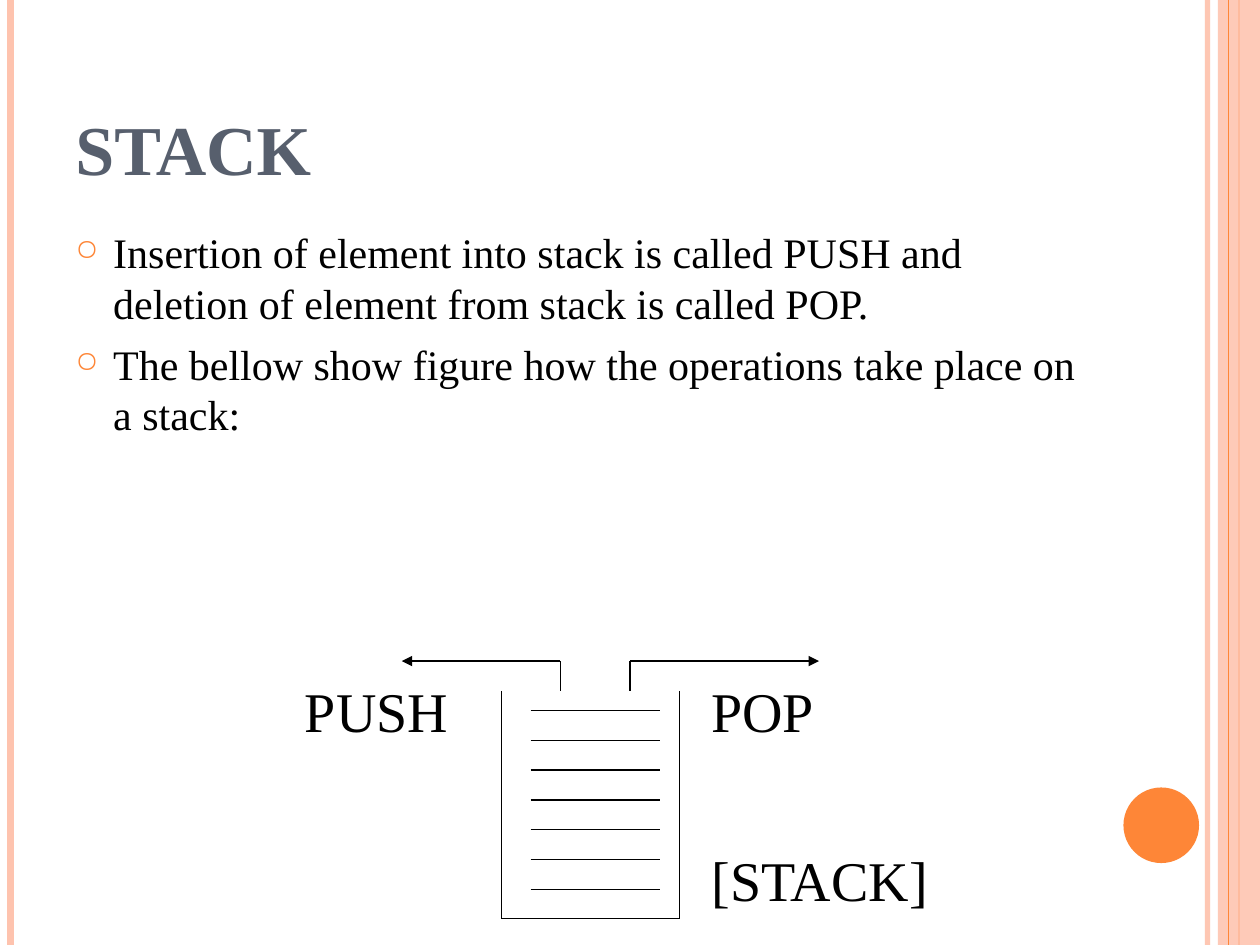
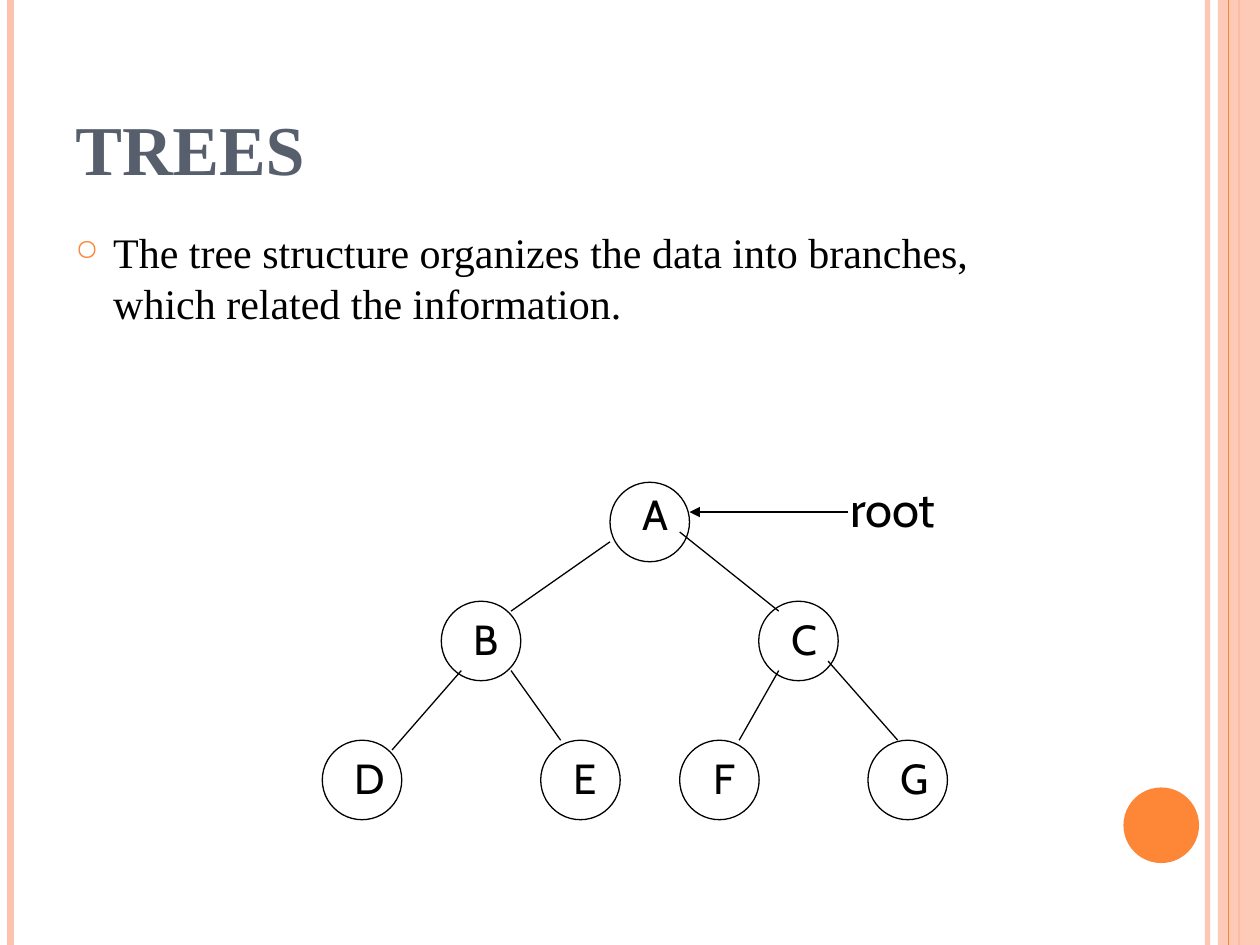
from lxml import etree
from pptx import Presentation
from pptx.dml.color import RGBColor
from pptx.enum.shapes import MSO_CONNECTOR, MSO_SHAPE
from pptx.enum.text import MSO_ANCHOR, MSO_AUTO_SIZE, PP_ALIGN
from pptx.oxml.ns import qn
from pptx.util import Pt

STRAIGHT = MSO_CONNECTOR.STRAIGHT
RECTANGLE, OVAL = MSO_SHAPE.RECTANGLE, MSO_SHAPE.OVAL
BOTTOM, TOP = MSO_ANCHOR.BOTTOM, MSO_ANCHOR.TOP
LEFT, CENTER = PP_ALIGN.LEFT, PP_ALIGN.CENTER
GROW = MSO_AUTO_SIZE.SHAPE_TO_FIT_TEXT

PEACH = RGBColor(0xFE, 0xC3, 0xAE)
ORANGE = RGBColor(0xFE, 0x86, 0x37)
SLATE = RGBColor(0x57, 0x5F, 0x6D)
BLACK = RGBColor(0, 0, 0)
WHITE = RGBColor(0xFF, 0xFF, 0xFF)
SERIF, SANS = "Times New Roman", "Cabin"
THIN = 0.74
PAGE_W, PAGE_H = 720, 540


def add_line(slide, start, end, color=BLACK, width=THIN, alpha=None, arrow=False):
    line = slide.shapes.add_connector(STRAIGHT, *[Pt(v) for v in (*start, *end)])
    line.line.color.rgb = color
    line.line.width = Pt(width)
    properties = line._element.spPr
    if alpha:
        rgb = properties.find(".//" + qn("a:srgbClr"))
        etree.SubElement(rgb, qn("a:alpha"), val=str(alpha * 1000))
    if arrow:
        etree.SubElement(properties.find(qn("a:ln")), qn("a:tailEnd"), type="triangle")
    etree.SubElement(properties, qn("a:effectLst"))


def add_text(slide, box, paragraphs, size, font=SERIF, color=BLACK, bold=False,
             align=LEFT, anchor=TOP, before=0, grow=False):
    frame = slide.shapes.add_textbox(*[Pt(v) for v in box]).text_frame
    frame.word_wrap = True
    frame.vertical_anchor = anchor
    if grow:
        frame.auto_size = GROW
    frame.text = "\n".join(paragraphs)
    for paragraph in frame.paragraphs:
        paragraph.alignment = align
        paragraph.space_before = Pt(before)
        paragraph.font.name = font
        paragraph.font.size = Pt(size)
        paragraph.font.bold = bold
        paragraph.font.color.rgb = color
    return frame


prs = Presentation()
prs.slide_width, prs.slide_height = Pt(PAGE_W), Pt(PAGE_H)

pages = [
    ("STACK", ["Insertion of element into stack is called PUSH and deletion of "
               "element from stack is called POP.",
               "The bellow show figure how the operations take place on a stack:"]),
    ("TREES", ["The tree structure organizes the data into branches, which related "
               "the information."]),
]
slides = []
for title, points in pages:
    slide = prs.slides.add_slide(prs.slide_layouts[6])
    slides.append(slide)

    # Side bands and the orange disc
    for x, color, width, alpha in [(690, PEACH, 3, 93), (6, PEACH, 4.5, None),
                                   (708, ORANGE, 1.5, None)]:
        add_line(slide, (x, 0), (x, PAGE_H), color, width, alpha)
    for kind, box, color in [(RECTANGLE, (696, 0, 24, PAGE_H), PEACH),
                             (OVAL, (642, 450, 43.2, 43.2), ORANGE)]:
        shape = slide.shapes.add_shape(kind, *[Pt(v) for v in box])
        shape.shadow.inherit = False
        shape.fill.solid()
        shape.fill.fore_color.rgb = color
        shape.line.fill.background()
        if kind == RECTANGLE:
            rgb = shape._element.spPr.find(".//" + qn("a:srgbClr"))
            etree.SubElement(rgb, qn("a:alpha"), val="87000")
            add_line(slide, (702, 0), (702, PAGE_H), ORANGE)

    # Title and bulleted text
    add_text(slide, (36, 21.6, 588, 90), [title], 40, color=SLATE, bold=True, anchor=BOTTOM)
    body = add_text(slide, (36, 126, 588, 384), points, 24, before=6)
    for paragraph in body.paragraphs:
        props = paragraph._p.get_or_add_pPr()
        props.set("marL", str(Pt(21.6)))
        props.set("indent", str(Pt(-21.6)))
        bullet_color = etree.SubElement(props, qn("a:buClr"))
        etree.SubElement(bullet_color, qn("a:srgbClr"), val=str(ORANGE))
        etree.SubElement(props, qn("a:buSzPct"), val="70000")
        etree.SubElement(props, qn("a:buChar"), char="○")
        # Default run properties come last in the paragraph properties
        props.append(props.find(qn("a:defRPr")))

stack, tree = slides

# Stack: open container with seven stored elements
wall_left, wall_right, rim, floor = 286.4, 388.4, 394.8, 525
for start, end in [((wall_left, rim), (wall_left, floor)),
                   ((wall_right, rim), (wall_right, floor)),
                   ((wall_left, floor), (wall_right, floor))]:
    add_line(stack, start, end)
for level in range(7):
    y = 406 + 17.04 * level
    add_line(stack, (303.2, y), (377.2, y))

# Push and pop arrows above the rim
bend = 377.8
for x, tip in [(320.2, 229.6), (360, 468)]:
    add_line(stack, (x, rim), (x, bend))
    add_line(stack, (x, bend), (tip, bend), arrow=True)
for label, x, y, width in [("PUSH", 167.2, 383.2, 113), ("POP", 399.4, 383.2, 96.5),
                           ("[STACK]", 399.4, 479.6, 181.4)]:
    add_text(stack, (x, y, width, 46), [label], 32, before=20, grow=True)

# Tree nodes: letter, left, top, drop of the letter inside the circle
DIAMETER = 45.4
nodes = [("A", 348.6, 275.6, 0), ("B", 252.2, 343.6, 3.6), ("C", 433.6, 343.6, 3.6),
         ("D", 184.2, 423, 3.6), ("E", 309, 423, 3.6), ("F", 388.4, 423, 3.6),
         ("G", 496, 423, 3.6)]
for letter, x, y, drop in nodes:
    node = tree.shapes.add_shape(OVAL, Pt(x), Pt(y), Pt(DIAMETER), Pt(DIAMETER))
    node.shadow.inherit = False
    node.fill.solid()
    node.fill.fore_color.rgb = WHITE
    node.line.color.rgb = BLACK
    node.line.width = Pt(THIN)
    add_text(tree, (x + 11.4, y + drop, 28.2, 36), [letter], 24, SANS,
             align=CENTER, before=15, grow=True)

# Branches from parent to child
branches = [((348.6, 309.6), (292, 349.2)), ((388.4, 304), (445, 349.2)),
            ((263.6, 383.2), (224, 428.6)), ((292, 383.2), (320.4, 423)),
            ((445, 383.2), (422.4, 423)), ((473.2, 377.8), (513, 423))]
for parent, child in branches:
    add_line(tree, parent, child)

# Root pointer
add_line(tree, (484.8, 292.6), (394, 292.6), arrow=True)
add_text(tree, (478.8, 270, 79.2, 41), ["root"], 28, SANS, before=17.5, grow=True)

prs.save("out.pptx")
